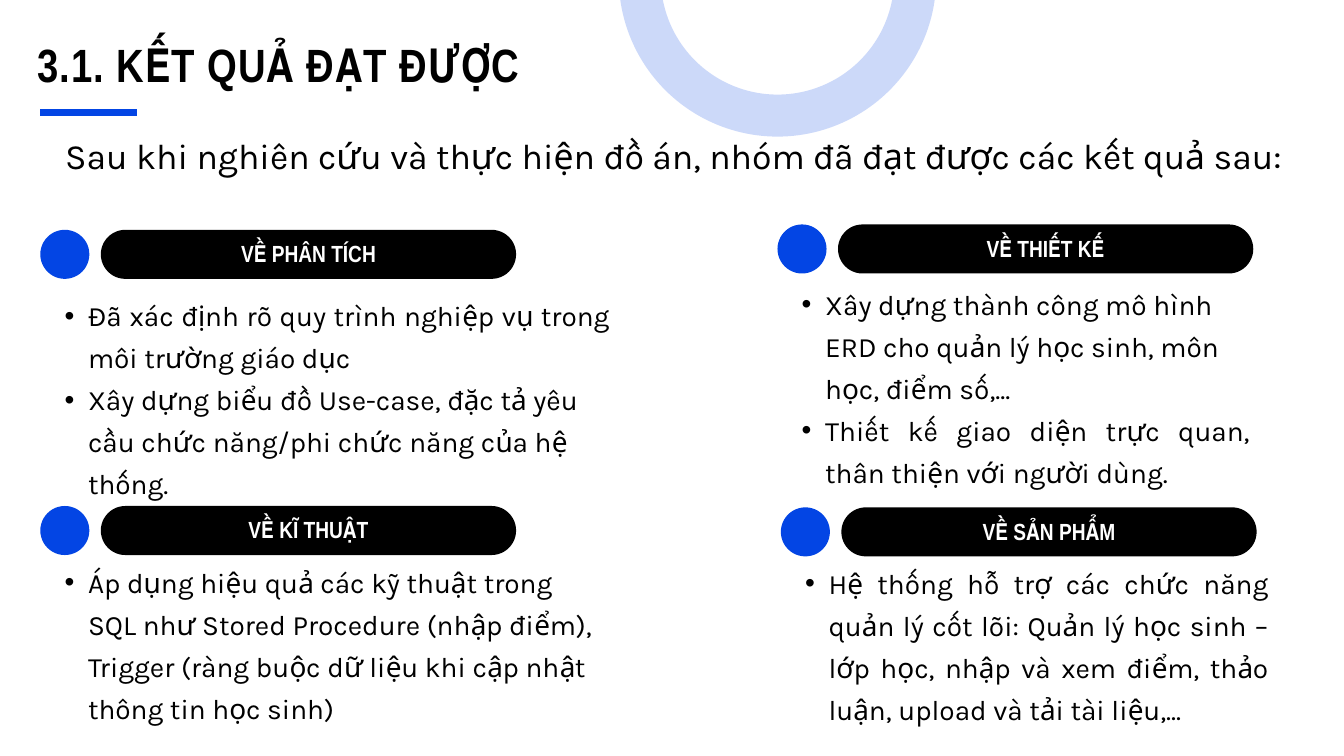
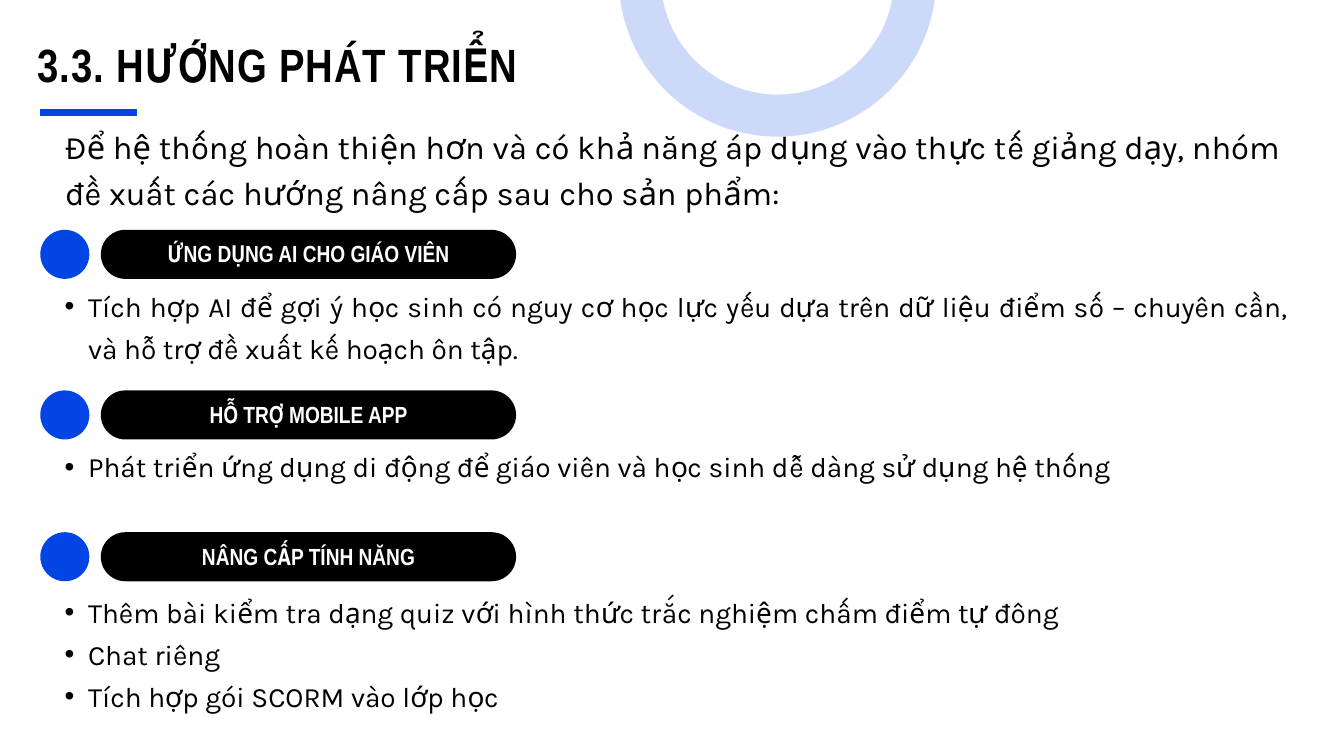
import dataclasses

import pptx
import pptx.dml.color
import pptx.enum.shapes
import pptx.enum.text
import pptx.oxml
import pptx.oxml.ns
import pptx.util

Pt = pptx.util.Pt
SHAPES = pptx.enum.shapes.MSO_SHAPE
ALIGN = pptx.enum.text.PP_ALIGN
ANCHOR = pptx.enum.text.MSO_ANCHOR
FIT = pptx.enum.text.MSO_AUTO_SIZE

COLUMNS, ROWS = 20, 11.25
SLIDE_WIDTH = pptx.util.Inches(20)
SLIDE_HEIGHT = pptx.util.Inches(11.25)
LEFT_COLUMN, RIGHT_COLUMN = 0.6, 11.57
COMPARISON_LAYOUT = 4


@dataclasses.dataclass(frozen=True)
class Theme:
    accent: str = "0345E4"
    ink: str = "000000"
    paper: str = "FFFFFF"
    heading_font: str = "Arial Narrow"
    body_font: str = "Karla"
    title_size: float = 50
    pill_size: float = 25
    list_size: float = 30
    rule_width: float = 7.5
    ring_width: float = 45
    ring_opacity: int = 20


THEME = Theme()


@dataclasses.dataclass(frozen=True)
class Section:
    left: float
    top: float
    heading: str
    list_gap: float
    list_width: float
    list_height: float
    items: tuple
    justified: tuple = ()


def across(columns):
    return round(SLIDE_WIDTH * columns / COLUMNS)


def down(rows):
    return round(SLIDE_HEIGHT * rows / ROWS)


def cells(left, top, width, height):
    """Turn a box in grid cells into slide lengths."""
    return across(left), down(top), across(width), down(height)


def rgb(value):
    return pptx.dml.color.RGBColor.from_string(value)


def place(shape, box):
    shape.left, shape.top, shape.width, shape.height = cells(*box)


def set_bullet(paragraph):
    properties = paragraph._p.get_or_add_pPr()
    properties.set("marL", str(across(0.71)))
    properties.set("indent", str(-across(0.35)))
    for tag, name, value in (("a:buFont", "typeface", "Arial"), ("a:buChar", "char", "•")):
        mark = pptx.oxml.ns.qn(tag)
        properties.append(properties.makeelement(mark, {name: value}))


def write(shape, *lines, font, size, leading, color=THEME.ink, bold=False, align=ALIGN.LEFT,
          justified=(), anchor=ANCHOR.TOP, margins=(0, 0, 0, 0), fit=FIT.SHAPE_TO_FIT_TEXT,
          tracking=0, bullets=False):
    frame = shape.text_frame
    frame.word_wrap = True
    frame.auto_size = fit
    frame.vertical_anchor = anchor
    frame.margin_left, frame.margin_top, frame.margin_right, frame.margin_bottom = map(across, margins)
    for number, line in enumerate(lines):
        paragraph = frame.paragraphs[0] if number == 0 else frame.add_paragraph()
        paragraph.alignment = ALIGN.JUSTIFY if number in justified else align
        paragraph.line_spacing = Pt(leading)
        paragraph.space_before = paragraph.space_after = Pt(0)
        if bullets:
            set_bullet(paragraph)
        run = paragraph.add_run()
        run.text = line
        run.font.name, run.font.size, run.font.bold = font, Pt(size), bold
        run.font.color.rgb = rgb(color)
        if tracking:
            run.font._element.set("spc", str(tracking * 100))


def add_filled(slide, preset, box, color):
    shape = slide.shapes.add_shape(preset, *cells(*box))
    shape.shadow.inherit = False
    shape.fill.solid()
    shape.fill.fore_color.rgb = rgb(color)
    shape.line.fill.background()
    return shape


def add_ring(slide, box):
    ring = slide.shapes.add_shape(SHAPES.OVAL, *cells(*box))
    ring.shadow.inherit = False
    ring.fill.background()
    ring.line.width = Pt(THEME.ring_width)
    ring.line.color.rgb = rgb(THEME.accent)
    color = ring._element.spPr.find(".//" + pptx.oxml.ns.qn("a:srgbClr"))
    alpha = pptx.oxml.ns.qn("a:alpha")
    color.append(color.makeelement(alpha, {"val": str(THEME.ring_opacity * 1000)}))


def add_title_band(slide, title, box):
    left, top, width, height = box
    place(slide.shapes.title, (left, top, width, height))
    write(slide.shapes.title, title, font=THEME.heading_font, size=THEME.title_size,
          leading=70, bold=True, tracking=1)
    rule_left, rule_top = left + 0.04, top + 1.27
    rule = slide.shapes.add_connector(
        pptx.enum.shapes.MSO_CONNECTOR.STRAIGHT, across(rule_left), down(rule_top),
        across(rule_left + 1.44), down(rule_top))
    rule.line.width = Pt(THEME.rule_width)
    rule.line.color.rgb = rgb(THEME.accent)
    properties = rule._element.spPr
    properties.append(properties.makeelement(pptx.oxml.ns.qn("a:effectLst"), {}))


def add_intro(slide, intro, box, size, leading):
    lead = slide.shapes.add_textbox(*cells(*box))
    write(lead, intro, font=THEME.body_font, size=size, leading=leading)


def add_section(slide, body, section):
    """Dot and heading pill, with the bulleted list below them."""
    left, top = section.left, section.top
    add_filled(slide, SHAPES.OVAL, (left, top, 0.73, 0.73), THEME.accent)
    pill = add_filled(slide, SHAPES.ROUNDED_RECTANGLE, (left + 0.9, top, 6.18, 0.73), THEME.ink)
    pill.adjustments[0] = 0.5
    write(pill, section.heading, font=THEME.heading_font, size=THEME.pill_size, leading=35,
          color=THEME.paper, bold=True, align=ALIGN.CENTER, anchor=ANCHOR.MIDDLE,
          margins=(0.06, 0.06, 0.06, 0.16), fit=FIT.NONE)
    place(body, (left, top + section.list_gap, section.list_width, section.list_height))
    write(body, *section.items, font=THEME.body_font, size=THEME.list_size, leading=45,
          justified=section.justified, bullets=True)


def add_section_slide(deck, title, intro, intro_box, intro_size, intro_leading, sections):
    slide = deck.slides.add_slide(deck.slide_layouts[COMPARISON_LAYOUT])
    slide.background.fill.solid()
    slide.background.fill.fore_color.rgb = rgb(THEME.paper)
    title_band = (0.56, 0.4, 15.27, 0.94)
    add_title_band(slide, title, title_band)
    add_ring(slide, (9.52, -2.38, 4.1, 4.1))
    add_intro(slide, intro, intro_box, intro_size, intro_leading)
    bodies = list(slide.placeholders)[1:]
    for body, section in zip(bodies, sections):
        add_section(slide, body, section)
    for unused in bodies[len(sections):]:
        unused._element.getparent().remove(unused._element)


RESULTS = (
    Section(LEFT_COLUMN, 3.42, "VỀ PHÂN TÍCH", 0.9, 8.48, 3.11, (
        "Đã xác định rõ quy trình nghiệp vụ trong môi trường giáo dục",
        "Xây dựng biểu đồ Use-case, đặc tả yêu cầu chức năng/phi chức năng của hệ thống.",
    ), justified=(0,)),
    Section(RIGHT_COLUMN, 3.34, "VỀ THIẾT KẾ", 0.81, 7.03, 3.11, (
        "Xây dựng thành công mô hình ERD cho quản lý học sinh, môn học, điểm số,...",
        "Thiết kế giao diện trực quan, thân thiện với người dùng.",
    ), justified=(1,)),
    Section(LEFT_COLUMN, 7.53, "VỀ KĨ THUẬT", 0.76, 8.24, 2.49, (
        "Áp dụng hiệu quả các kỹ thuật trong SQL như Stored Procedure (nhập điểm), "
        "Trigger (ràng buộc dữ liệu khi cập nhật thông tin học sinh)",
    )),
    Section(RIGHT_COLUMN + 0.05, 7.55, "VỀ SẢN PHẨM", 0.75, 7.26, 2.49, (
        "Hệ thống hỗ trợ các chức năng quản lý cốt lõi: Quản lý học sinh – lớp học, "
        "nhập và xem điểm, thảo luận, upload và tải tài liệu,...",
    ), justified=(0,)),
)

DIRECTIONS = (
    Section(LEFT_COLUMN, 3.42, "ỨNG DỤNG AI CHO GIÁO VIÊN", 0.76, 18.55, 1.24, (
        "Tích hợp AI để gợi ý học sinh có nguy cơ học lực yếu dựa trên dữ liệu điểm số – "
        "chuyên cần, và hỗ trợ đề xuất kế hoạch ôn tập.",
    ), justified=(0,)),
    Section(LEFT_COLUMN, 5.81, "HỖ TRỢ MOBILE APP", 0.76, 17.92, 0.61, (
        "Phát triển ứng dụng di động để giáo viên và học sinh dễ dàng sử dụng hệ thống",
    )),
    Section(LEFT_COLUMN, 7.92, "NÂNG CẤP TÍNH NĂNG", 0.81, 18.54, 1.86, (
        "Thêm bài kiểm tra dạng quiz với hình thức trắc nghiệm chấm điểm tự đông",
        "Chat riêng",
        "Tích hợp gói SCORM vào lớp học",
    )),
)


def main():
    deck = pptx.Presentation()
    deck.slide_width, deck.slide_height = SLIDE_WIDTH, SLIDE_HEIGHT
    add_section_slide(
        deck, "3.1. KẾT QUẢ ĐẠT ĐƯỢC",
        "Sau khi nghiên cứu và thực hiện đồ án, nhóm đã đạt được các kết quả sau:",
        (0.97, 1.89, 18.18, 1.44), 38.1, 53.4, RESULTS)
    add_section_slide(
        deck, "3.3. HƯỚNG PHÁT TRIỂN",
        "Để hệ thống hoàn thiện hơn và có khả năng áp dụng vào thực tế giảng dạy, nhóm "
        "đề xuất các hướng nâng cấp sau cho sản phẩm:",
        (0.97, 1.79, 18.18, 1.33), 35, 49, DIRECTIONS)
    deck.save("out.pptx")


if __name__ == "__main__":
    main()
